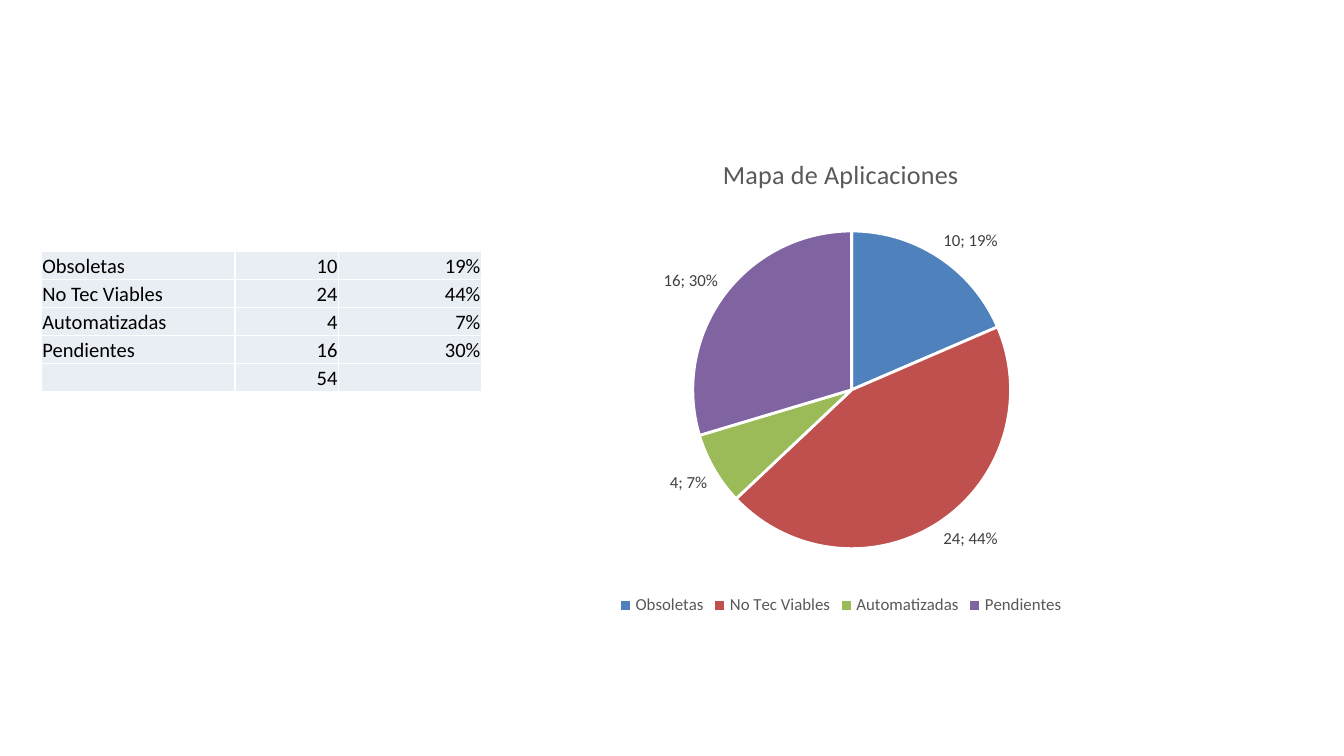
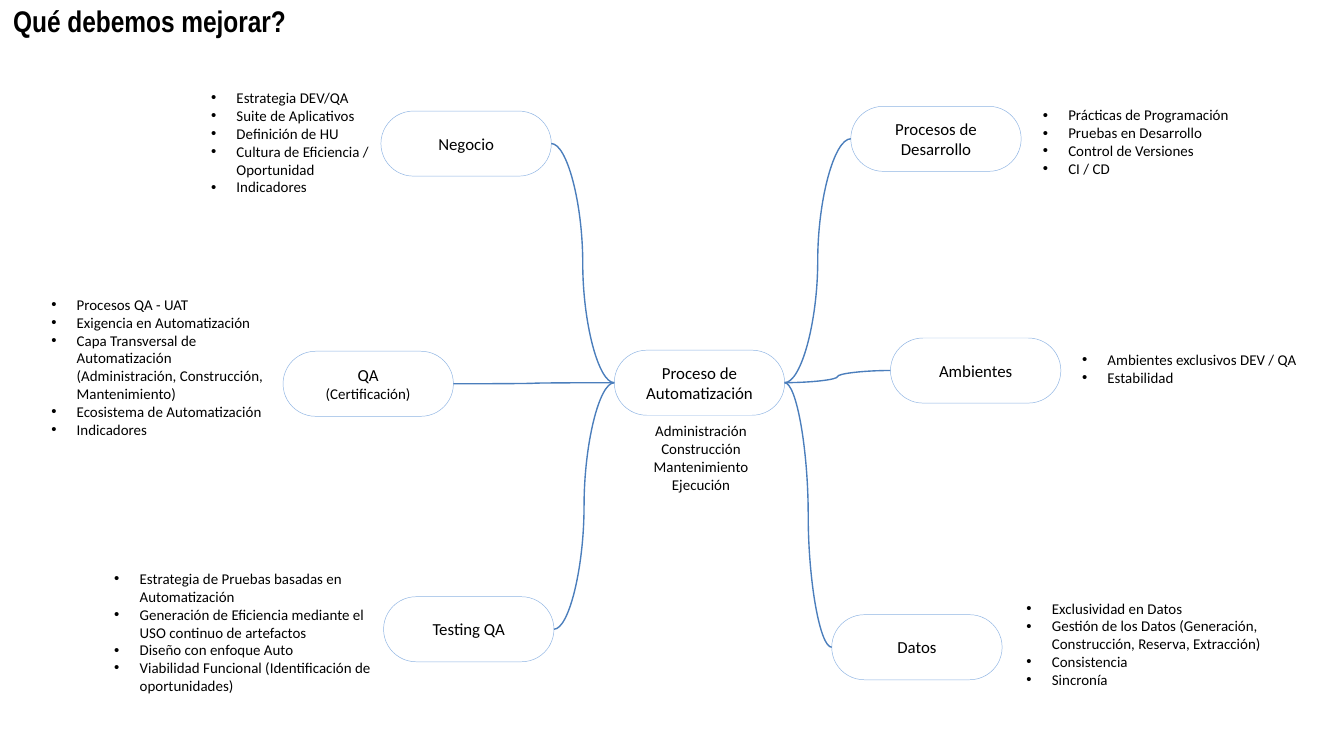
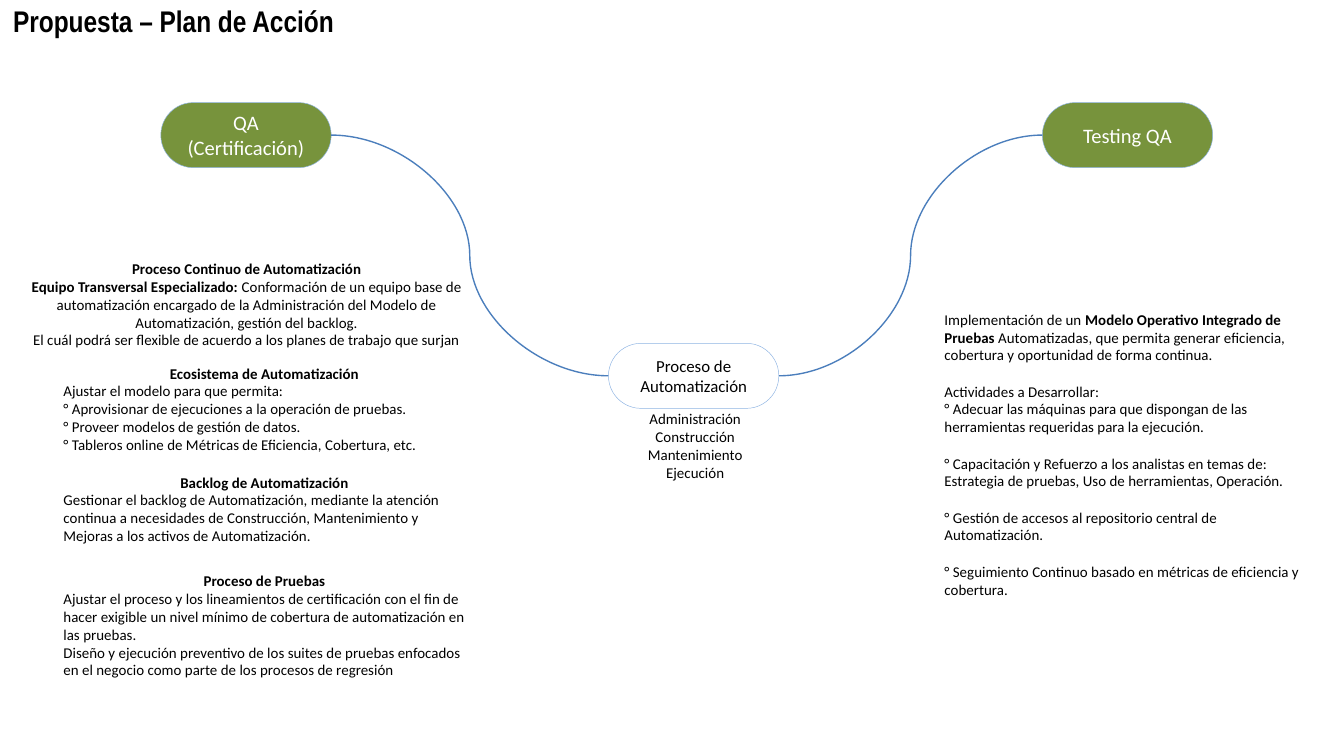
from dataclasses import dataclass

from lxml import etree
from pptx import Presentation
from pptx.chart.data import CategoryChartData
from pptx.dml.color import RGBColor
from pptx.enum.chart import XL_CHART_TYPE, XL_LABEL_POSITION, XL_LEGEND_POSITION
from pptx.enum.dml import MSO_FILL
from pptx.enum.shapes import MSO_CONNECTOR, MSO_SHAPE
from pptx.enum.text import MSO_ANCHOR, MSO_AUTO_SIZE, PP_ALIGN
from pptx.oxml.ns import qn
from pptx.shapes.autoshape import Shape
from pptx.slide import Slide
from pptx.text.text import Font, TextFrame
from pptx.util import Cm, Pt

LEFT, CENTER, RIGHT = PP_ALIGN.LEFT, PP_ALIGN.CENTER, PP_ALIGN.RIGHT
MIDDLE, BOTTOM = MSO_ANCHOR.MIDDLE, MSO_ANCHOR.BOTTOM
ROUNDED, CURVE, SOLID = MSO_SHAPE.ROUNDED_RECTANGLE, MSO_CONNECTOR.CURVE, MSO_FILL.SOLID
FIT_SHAPE = MSO_AUTO_SIZE.SHAPE_TO_FIT_TEXT
PIE, OUTSIDE_END = XL_CHART_TYPE.PIE, XL_LABEL_POSITION.OUTSIDE_END
LEGEND_BOTTOM = XL_LEGEND_POSITION.BOTTOM
LEFT_SITE, RIGHT_SITE = 1, 3
PILL_WIDTH, PILL_HEIGHT = 3.22, 1.23
BULLET_INDENT = 0.48


@dataclass(frozen=True)
class Theme:
    body_font: str = "Calibri"
    title_font: str = "Arial Narrow"
    black: str = "000000"
    white: str = "FFFFFF"
    green: str = "77933C"
    pill_line: str = "8EB4E3"
    connector: str = "4B7EBC"
    cell: str = "E9EDF4"
    chart_text: str = "595959"
    label_text: str = "404040"
    slices: tuple[str, ...] = ("4F81BD", "C0504D", "9BBB59", "8064A2")
    title_size: float = 16
    chart_title_size: float = 14
    large_size: float = 11
    pill_size: float = 9
    note_size: float = 8
    section_gap: float = 9.8


THEME = Theme()


@dataclass(frozen=True)
class Run:
    text: str
    bold: bool = False


@dataclass(frozen=True)
class Line:
    runs: tuple[Run, ...]
    align: PP_ALIGN = LEFT
    size: float = THEME.note_size
    gap: bool = False


@dataclass(frozen=True)
class Pill:
    left: float
    top: float
    lines: tuple[Line, ...]
    fill: str | None = None


@dataclass(frozen=True)
class Note:
    left: float
    top: float
    width: float
    height: float
    lines: tuple[Line, ...]
    bulleted: bool = False
    inset: float = 0
    wrap: bool = True


@dataclass(frozen=True)
class Topic:
    pill: Pill
    note: Note


def plain(text: str, gap: bool = False) -> Line:
    return Line((Run(text),), gap=gap)


def heading(text: str) -> Line:
    return Line((Run(text, True),), CENTER)


def centered(text: str, size: float = THEME.note_size) -> Line:
    return Line((Run(text),), CENTER, size)


def bullets(left: float, top: float, width: float, height: float, *texts: str,
            inset: float = 0, wrap: bool = True) -> Note:
    return Note(left, top, width, height, tuple(map(plain, texts)), True, inset, wrap)


STAGES = tuple(map(centered, ("Administración", "Construcción", "Mantenimiento", "Ejecución")))
CORE_LINES = (centered("Proceso de Automatización", THEME.pill_size),)

APPLICATIONS = (("Obsoletas", 10, "19%"), ("No Tec Viables", 24, "44%"),
                ("Automatizadas", 4, "7%"), ("Pendientes", 16, "30%"))

RIGHT_TOPICS = (
    Topic(Pill(16.08, 2.01, (centered("Procesos de Desarrollo", THEME.pill_size),)),
          bullets(19.46, 1.88, 4.06, 1.95, "Prácticas de Programación", "Pruebas en Desarrollo",
                  "Control de Versiones", "CI / CD", inset=0.25, wrap=False)),
    Topic(Pill(16.83, 6.39, (centered("Ambientes", THEME.pill_size),)),
          bullets(20.45, 6.5, 4.09, 0.94, "Ambientes exclusivos DEV / QA", "Estabilidad",
                  wrap=False)),
    Topic(Pill(15.72, 11.62, (centered("Datos", THEME.pill_size),)),
          bullets(19.4, 11.2, 5.21, 1.95, "Exclusividad en Datos",
                  "Gestión de los Datos (Generación, Construcción, Reserva, Extracción)",
                  "Consistencia", "Sincronía")),
)
LEFT_TOPICS = (
    Topic(Pill(7.2, 2.1, (centered("Negocio", THEME.pill_size),)),
          bullets(3.99, 1.55, 3.23, 2.31, "Estrategia DEV/QA", "Suite de Aplicativos",
                  "Definición de HU", "Cultura de Eficiencia / Oportunidad", "Indicadores")),
    Topic(Pill(5.35, 6.64, (centered("QA", THEME.pill_size), centered("(Certificación)"))),
          bullets(0.97, 5.46, 4.04, 3, "Procesos QA - UAT", "Exigencia en Automatización",
                  "Capa Transversal de Automatización "
                  "(Administración, Construcción, Mantenimiento)",
                  "Ecosistema de Automatización", "Indicadores")),
    Topic(Pill(7.25, 11.28, (centered("Testing QA", THEME.pill_size),)),
          bullets(2.16, 10.64, 4.98, 2.64, "Estrategia de Pruebas basadas en Automatización",
                  "Generación de Eficiencia mediante el USO continuo de artefactos",
                  "Diseño con enfoque Auto",
                  "Viabilidad Funcional (Identificación de oportunidades)")),
)

PLAN_NOTES = (
    Note(17.85, 5.74, 6.91, 5.74, (
        Line((Run("Implementación de un "), Run("Modelo Operativo Integrado de Pruebas ", True),
              Run("Automatizadas, que permita generar eficiencia, cobertura y oportunidad "
                  "de forma continua."))),
        plain("Actividades a Desarrollar:", gap=True),
        plain("° Adecuar las máquinas para que dispongan de las herramientas requeridas "
              "para la ejecución."),
        plain("° Capacitación y Refuerzo a los analistas en temas de:", gap=True),
        plain("Estrategia de pruebas, Uso de herramientas, Operación."),
        plain("° Gestión de accesos al repositorio central de Automatización.", gap=True),
        plain("° Seguimiento Continuo basado en métricas de eficiencia y cobertura.", gap=True))),
    Note(0.51, 4.78, 8.31, 1.95, (
        heading("Proceso Continuo de Automatización"),
        Line((Run("Equipo Transversal Especializado: ", True),
              Run("Conformación de un equipo base de automatización encargado de la "
                  "Administración del Modelo de Automatización, gestión del backlog.")), CENTER),
        centered("El cuál podrá ser flexible de acuerdo a los planes de trabajo que surjan"))),
    Note(1.2, 6.76, 7.6, 1.95, (
        heading("Ecosistema de Automatización"),
        plain("Ajustar el modelo para que permita:"),
        plain("° Aprovisionar de ejecuciones a la operación de pruebas."),
        plain("° Proveer modelos de gestión de datos."),
        plain("° Tableros online de Métricas de Eficiencia, Cobertura, etc."))),
    Note(1.2, 8.82, 7.6, 1.63, (
        heading("Backlog de Automatización"),
        plain("Gestionar el backlog de Automatización, mediante la atención continua a "
              "necesidades de Construcción, Mantenimiento y Mejoras a los activos de "
              "Automatización."))),
    Note(1.2, 10.68, 7.6, 2.31, (
        heading("Proceso de Pruebas"),
        plain("Ajustar el proceso y los lineamientos de certificación con el fin de hacer "
              "exigible un nivel mínimo de cobertura de automatización en las pruebas."),
        plain("Diseño y ejecución preventivo de los suites de pruebas enfocados en el negocio "
              "como parte de los procesos de regresión"))),
)


def style_font(font: Font, size: float, color: str = THEME.black, bold: bool = False,
               name: str = THEME.body_font) -> None:
    font.name, font.size, font.bold = name, Pt(size), bold
    font.color.rgb = RGBColor.from_string(color)


def write_lines(frame: TextFrame, lines: tuple[Line, ...], color: str = THEME.black,
                bulleted: bool = False) -> None:
    for index, line in enumerate(lines):
        paragraph = frame.add_paragraph() if index else frame.paragraphs[0]
        paragraph.alignment = line.align
        if line.gap:
            paragraph.space_before = Pt(THEME.section_gap)
        if bulleted:
            properties = paragraph._p.get_or_add_pPr()
            properties.set("marL", str(Cm(BULLET_INDENT)))
            properties.set("indent", str(-Cm(BULLET_INDENT)))
            etree.SubElement(properties, qn("a:buFont"), typeface="Arial")
            etree.SubElement(properties, qn("a:buChar"), char="•")
        for part in line.runs:
            run = paragraph.add_run()
            run.text = part.text
            style_font(run.font, line.size, color, part.bold)


def add_title(slide: Slide, text: str) -> None:
    frame = slide.shapes.add_textbox(Cm(0), Cm(-0.08), Cm(25.4), Cm(0.94)).text_frame
    frame.word_wrap = True
    frame.vertical_anchor = MIDDLE
    paragraph = frame.paragraphs[0]
    paragraph.space_before = Pt(3)
    run = paragraph.add_run()
    run.text = text
    style_font(run.font, THEME.title_size, bold=True, name=THEME.title_font)


def add_pill(slide: Slide, pill: Pill) -> Shape:
    shape = slide.shapes.add_shape(ROUNDED, Cm(pill.left), Cm(pill.top),
                                   Cm(PILL_WIDTH), Cm(PILL_HEIGHT))
    shape.adjustments[0] = 0.5
    shape.shadow.inherit = False
    shape.line.color.rgb = RGBColor.from_string(THEME.pill_line)
    shape.line.width = Pt(0.25)
    if pill.fill:
        shape.fill.solid()
        shape.fill.fore_color.rgb = RGBColor.from_string(pill.fill)
    else:
        shape.fill.background()
    frame = shape.text_frame
    frame.word_wrap = True
    frame.vertical_anchor = MIDDLE
    frame.margin_left = frame.margin_right = frame.margin_top = frame.margin_bottom = 0
    write_lines(frame, pill.lines, THEME.white if pill.fill else THEME.black)
    return shape


def add_note(slide: Slide, note: Note) -> None:
    frame = slide.shapes.add_textbox(Cm(note.left), Cm(note.top),
                                     Cm(note.width), Cm(note.height)).text_frame
    frame.word_wrap = note.wrap
    frame.auto_size = FIT_SHAPE
    frame.margin_left = frame.margin_right = Cm(note.inset)
    write_lines(frame, note.lines, bulleted=note.bulleted)


def connect(slide: Slide, core: Shape, branch: Shape) -> None:
    """Join the facing sides of the core pill and a branch pill."""
    to_right = branch.left > core.left
    connector = slide.shapes.add_connector(CURVE, 0, 0, 0, 0)
    connector.begin_connect(core, RIGHT_SITE if to_right else LEFT_SITE)
    connector.end_connect(branch, LEFT_SITE if to_right else RIGHT_SITE)
    connector.line.color.rgb = RGBColor.from_string(THEME.connector)
    connector.line.width = Pt(0.75)
    etree.SubElement(connector._element.spPr, qn("a:effectLst"))


def add_core(slide: Slide, left: float, top: float, stages_top: float) -> Shape:
    add_note(slide, Note(left + 0.05, stages_top, 3.18, 1.63, STAGES))
    return add_pill(slide, Pill(left, top, CORE_LINES))


def add_application_chart(slide: Slide) -> None:
    data = CategoryChartData()
    data.categories = [name for name, _, _ in APPLICATIONS]
    data.add_series("Series 1", [count for _, count, _ in APPLICATIONS])
    chart = slide.shapes.add_chart(PIE, Cm(7.9), Cm(2.54), Cm(15.98), Cm(9.19), data).chart
    style_font(chart.font, 10)
    chart.has_title = True
    title = chart.chart_title.text_frame.paragraphs[0].add_run()
    title.text = "Mapa de Aplicaciones"
    style_font(title.font, THEME.chart_title_size, THEME.chart_text)
    chart.has_legend = True
    chart.legend.position = LEGEND_BOTTOM
    chart.legend.include_in_layout = False
    style_font(chart.legend.font, 9, THEME.chart_text)

    plot = chart.plots[0]
    plot.vary_by_categories = True
    for index, color in enumerate(THEME.slices):
        point = plot.series[0].points[index].format
        point.fill.solid()
        point.fill.fore_color.rgb = RGBColor.from_string(color)
        point.line.color.rgb = RGBColor.from_string(THEME.white)
        point.line.width = Pt(1.5)
    labels = plot.series[0].data_labels
    labels.show_value = labels.show_percentage = True
    labels.position = OUTSIDE_END
    style_font(labels.font, 9, THEME.label_text)
    separator = etree.Element(qn("c:separator"))
    separator.text = "; "
    labels._element.find(qn("c:showBubbleSize")).addnext(separator)


def add_cell_borders(cell_properties: etree._Element) -> None:
    for index, side in enumerate(("a:lnL", "a:lnR", "a:lnT", "a:lnB")):
        border = etree.Element(qn(side), w=str(Pt(1)))
        fill = etree.SubElement(border, qn("a:solidFill"))
        etree.SubElement(fill, qn("a:srgbClr"), val=THEME.white)
        cell_properties.insert(index, border)


def add_application_table(slide: Slide) -> None:
    total = sum(count for _, count, _ in APPLICATIONS)
    rows = (*APPLICATIONS, ("", total, ""))
    widths, row_height = (3.66, 1.96, 2.7), 0.53
    table = slide.shapes.add_table(len(rows), len(widths), Cm(0.78), Cm(4.75),
                                   Cm(sum(widths)), Cm(row_height * len(rows))).table
    table.first_row = table.horz_banding = False
    for column, width in zip(table.columns, widths):
        column.width = Cm(width)
    for row_index, values in enumerate(rows):
        table.rows[row_index].height = Cm(row_height)
        for column_index, value in enumerate(values):
            cell = table.cell(row_index, column_index)
            cell.fill.solid()
            cell.fill.fore_color.rgb = RGBColor.from_string(THEME.cell)
            cell.vertical_anchor = BOTTOM
            cell.margin_left = cell.margin_right = cell.margin_top = Cm(0.02)
            cell.margin_bottom = 0
            add_cell_borders(cell._tc.get_or_add_tcPr())
            if value:
                align = RIGHT if column_index else LEFT
                write_lines(cell.text_frame,
                            (Line((Run(str(value)),), align, THEME.large_size),))
            else:
                etree.SubElement(cell.text_frame.paragraphs[0]._p, qn("a:endParaRPr"),
                                 sz=str(int(THEME.large_size * 100)))


def build_applications(slide: Slide) -> None:
    add_application_chart(slide)
    add_application_table(slide)


def build_improvements(slide: Slide) -> None:
    add_title(slide, "Qué debemos mejorar?")
    core = add_core(slide, 11.61, 6.62, 7.85)
    for topic in RIGHT_TOPICS + LEFT_TOPICS:
        connect(slide, core, add_pill(slide, topic.pill))
        add_note(slide, topic.note)


def build_action_plan(slide: Slide) -> None:
    add_title(slide, "Propuesta – Plan de Acción")
    core = add_core(slide, 11.5, 6.49, 7.62)
    for left, texts in ((3.04, ("QA", "(Certificación)")), (19.7, ("Testing QA",))):
        lines = tuple(centered(text, THEME.large_size) for text in texts)
        connect(slide, core, add_pill(slide, Pill(left, 1.94, lines, THEME.green)))
    for note in PLAN_NOTES:
        add_note(slide, note)


def main() -> None:
    presentation = Presentation()
    presentation.slide_width, presentation.slide_height = Cm(25.4), Cm(14.29)
    blank = presentation.slide_layouts[6]
    for build in (build_applications, build_improvements, build_action_plan):
        build(presentation.slides.add_slide(blank))
    presentation.save("out.pptx")


if __name__ == "__main__":
    main()
